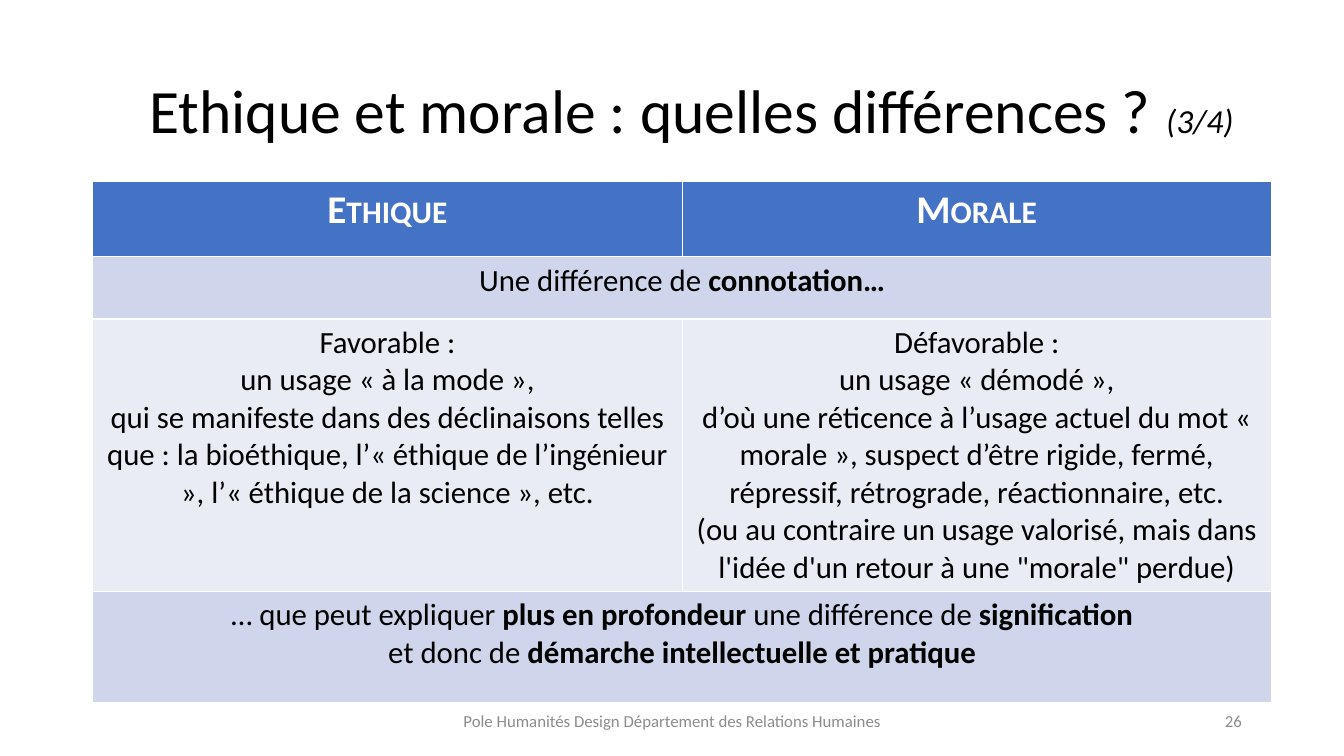
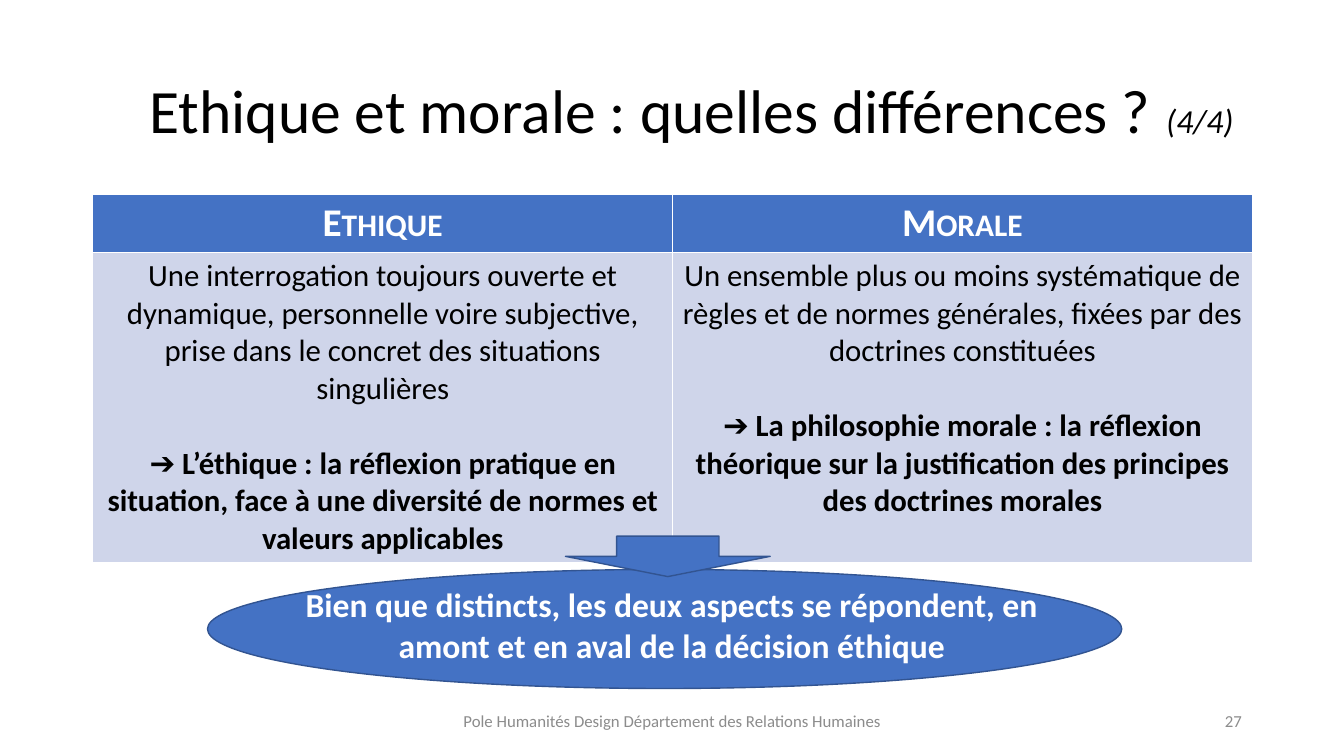
"""Build two slides comparing ethics and morals."""
from dataclasses import dataclass

import pptx
import pptx.dml.color
import pptx.enum.shapes
import pptx.enum.text
import pptx.util

Cm = pptx.util.Cm
Pt = pptx.util.Pt
RGB = pptx.dml.color.RGBColor.from_string
ALIGN = pptx.enum.text.PP_ALIGN
ANCHOR = pptx.enum.text.MSO_ANCHOR
SHAPE = pptx.enum.shapes.MSO_SHAPE


@dataclass(frozen=True)
class Theme:
    font: str = "Calibri"
    text: str = "000000"
    light: str = "FFFFFF"
    muted: str = "8C8C8C"
    accent: str = "4472C4"
    outline: str = "325491"
    bands: tuple = ("CFD5EA", "E9EBF5")
    title: int = 44
    counter: int = 24
    header: int = 28
    body: int = 22
    callout: int = 24
    footer: int = 12


THEME = Theme()
TITLE = "Ethique et morale : quelles différences ? "
FOOTER = "Pole Humanités Design Département des Relations Humaines"
HEADERS = ("Ethique", "Morale")
TABLE_LEFT = 2.34

SLIDES = [
    {
        "counter": "(3/4)",
        "number": 26,
        "top": 4.57,
        "column": 14.85,
        "heights": (1.9, 1.57, 6.85, 2.79),
        "gap": 0,
        "rows": [
            [["Une différence de *connotation…*"]],
            [
                [
                    "Favorable :",
                    "un usage « à la mode »,",
                    "qui se manifeste dans des déclinaisons telles que : la bioéthique, "
                    "l’« éthique de l’ingénieur », l’« éthique de la science », etc.",
                ],
                [
                    "Défavorable :",
                    "un usage « démodé »,",
                    "d’où une réticence à l’usage actuel du mot « morale », suspect d’être "
                    "rigide, fermé, répressif, rétrograde, réactionnaire, etc.",
                    "(ou au contraire un usage valorisé, mais dans l'idée d'un retour "
                    "à une \"morale\" perdue)",
                ],
            ],
            [
                [
                    "… que peut expliquer *plus en profondeur *une différence de *signification*",
                    "et donc de *démarche intellectuelle et pratique*",
                ]
            ],
        ],
    },
    {
        "counter": "(4/4)",
        "number": 27,
        "top": 4.9,
        "column": 14.61,
        "heights": (1.45, 7.82),
        "gap": 27,
        "rows": [
            [
                [
                    "Une interrogation toujours ouverte et dynamique, personnelle voire "
                    "subjective, prise dans le concret des situations singulières",
                    "*➔ L’éthique : la réflexion pratique en situation, face à une "
                    "diversité de normes et valeurs applicables*",
                ],
                [
                    "Un ensemble plus ou moins systématique de règles et de normes "
                    "générales, fixées par des doctrines constituées",
                    "*➔ La philosophie morale : la réflexion théorique sur la "
                    "justification des principes des doctrines morales*",
                ],
            ]
        ],
        "callout": "Bien que distincts, les deux aspects se répondent, en amont et en aval "
        "de la décision éthique",
    },
]


def style(p, size, color, align=ALIGN.CENTER, bold=None):
    p.alignment = align
    p.font.name = THEME.font
    p.font.size = Pt(size)
    p.font.color.rgb = RGB(color)
    p.font.bold = bold


def add_runs(p, marked):
    """Add the text as runs, with the pieces between asterisks in bold."""
    for i, piece in enumerate(marked.split("*")):
        if piece:
            r = p.add_run()
            r.text = piece
            r.font.bold = i % 2 == 1


def add_text(s, box, text, size, color, align=ALIGN.CENTER, bold=None, anchor=ANCHOR.TOP):
    tf = s.shapes.add_textbox(*map(Cm, box)).text_frame
    tf.word_wrap = True
    tf.vertical_anchor = anchor
    p = tf.paragraphs[0]
    p.text = text
    style(p, size, color, align, bold)


def add_accent(s, kind, box):
    sp = s.shapes.add_shape(kind, *map(Cm, box))
    sp.shadow.inherit = False
    sp.fill.solid()
    sp.fill.fore_color.rgb = RGB(THEME.accent)
    sp.line.color.rgb = RGB(THEME.outline)
    sp.line.width = Pt(1)


def fill_cell(cell, color):
    cell.fill.solid()
    cell.fill.fore_color.rgb = RGB(color)


def add_title(s, counter):
    sp = s.shapes.title
    sp.left, sp.top, sp.width, sp.height = map(Cm, (1.37, 1.02, 32.11, 3.68))
    tf = sp.text_frame
    tf.auto_size = pptx.enum.text.MSO_AUTO_SIZE.NONE
    tf.vertical_anchor = ANCHOR.MIDDLE
    p = tf.paragraphs[0]
    p.text = TITLE
    p.line_spacing = 0.9
    style(p, THEME.title, THEME.text)
    r = p.add_run()
    r.text = counter
    r.font.size = Pt(THEME.counter)
    r.font.italic = True


def add_comparison(s, data):
    heights = data["heights"]
    columns = len(HEADERS)
    table = s.shapes.add_table(
        len(heights), columns, Cm(TABLE_LEFT), Cm(data["top"]),
        Cm(columns * data["column"]), Cm(sum(heights)),
    ).table
    for column in table.columns:
        column.width = Cm(data["column"])
    for row, height in zip(table.rows, heights):
        row.height = Cm(height)

    for j, header in enumerate(HEADERS):
        cell = table.cell(0, j)
        fill_cell(cell, THEME.accent)
        p = cell.text_frame.paragraphs[0]
        r = p.add_run()
        r.text = header
        r._r.get_or_add_rPr().set("cap", "small")
        style(p, THEME.header, THEME.light, bold=True)

    for i, texts in enumerate(data["rows"], 1):
        for j in range(columns):
            fill_cell(table.cell(i, j), THEME.bands[(i - 1) % 2])
        if len(texts) == 1:
            table.cell(i, 0).merge(table.cell(i, columns - 1))
        for j, paragraphs in enumerate(texts):
            tf = table.cell(i, j).text_frame
            for k, marked in enumerate(paragraphs):
                p = tf.add_paragraph() if k else tf.paragraphs[0]
                if k and data["gap"]:
                    p.space_before = Pt(data["gap"])
                add_runs(p, marked)
                style(p, THEME.body, THEME.text)


def add_callout(s, text):
    add_accent(s, SHAPE.OVAL, (5.23, 14.35, 23.04, 3))
    add_accent(s, SHAPE.DOWN_ARROW, (14.25, 13.51, 5.16, 1.02))
    add_text(s, (6.86, 14.6, 20.14, 2.31), text, THEME.callout, THEME.light, bold=True)


def add_footer(s, number):
    for left, width, text, align in (
        (11.23, 11.43, FOOTER, ALIGN.CENTER),
        (23.93, 7.62, str(number), ALIGN.RIGHT),
    ):
        add_text(s, (left, 17.65, width, 1.02), text, THEME.footer, THEME.muted,
                 align, anchor=ANCHOR.MIDDLE)


def main():
    prs = pptx.Presentation()
    prs.slide_width, prs.slide_height = Cm(33.87), Cm(19.05)
    for data in SLIDES:
        s = prs.slides.add_slide(prs.slide_layouts[5])
        add_title(s, data["counter"])
        add_comparison(s, data)
        if "callout" in data:
            add_callout(s, data["callout"])
        add_footer(s, data["number"])
    prs.save("out.pptx")


if __name__ == "__main__":
    main()
